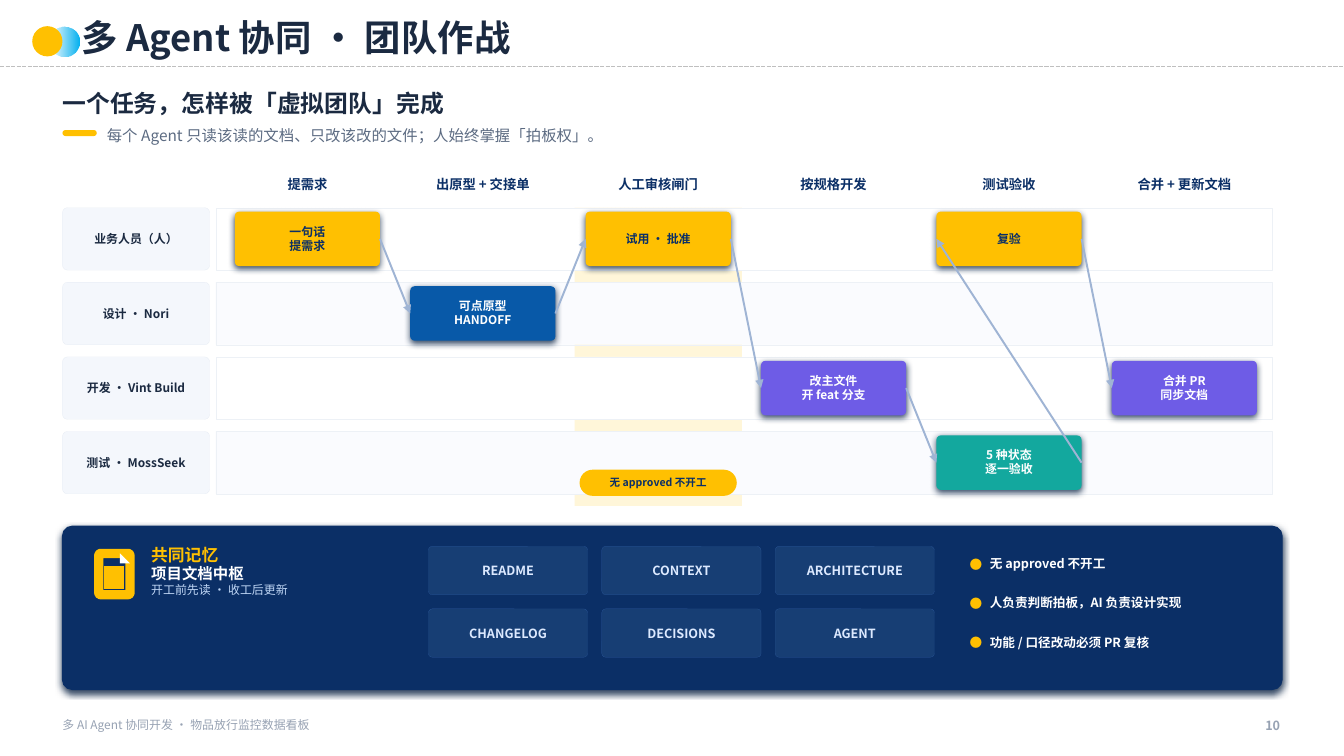
"""Build the slide on multi-agent teamwork: swimlanes, hand-offs and the shared memory panel."""
from lxml.etree import SubElement
from pptx import Presentation
from pptx.dml.color import RGBColor
from pptx.enum.dml import MSO_LINE
from pptx.enum.shapes import MSO_CONNECTOR, MSO_SHAPE
from pptx.enum.text import MSO_ANCHOR, PP_ALIGN
from pptx.oxml.ns import qn
from pptx.util import Pt

FONT = "Noto Sans CJK SC"
COLOURS = {
    "white": "FFFFFF", "ink": "1B2A41", "navy": "0B2F66", "amber": "FFC001",
    "sky": "01B0F0", "blue": "0859A8", "violet": "6E5CE6", "teal": "13A89E",
    "slate": "5C6B82", "grey": "97A2B3", "rule": "BFBFBF", "arrow": "9FB4D4",
    "gate": "FFF6D9", "label": "F4F7FC", "label_edge": "E2E8F2", "lane_edge": "EDF1F6",
    "lane_tint": "FAFBFE", "file": "173E74", "file_edge": "2E5A9E", "file_text": "DCE9FF",
    "pale_blue": "BFD6F5", "shadow": "0F2747",
}
STYLES = {
    "title": {"size": Pt(26), "bold": True},
    "heading": {"size": Pt(17), "bold": True},
    "hub_title": {"size": Pt(12), "bold": True},
    "hub_name": {"size": Pt(11), "bold": True},
    "intro": {"size": Pt(11), "bold": False},
    "stage": {"size": Pt(9.5), "bold": True},
    "strong": {"size": Pt(9), "bold": True},
    "card": {"size": Pt(8.5), "bold": True},
    "note": {"size": Pt(8.5), "bold": False},
    "badge": {"size": Pt(7.5), "bold": True},
}
STAGES = ["提需求", "出原型 + 交接单", "人工审核闸门", "按规格开发", "测试验收", "合并 + 更新文档"]
ROLES = ["业务人员（人）", "设计 · Nori", "开发 · Vint Build", "测试 · MossSeek"]
STEPS = [
    (0, 0, "amber", "一句话\n提需求"),
    (1, 1, "blue", "可点原型\nHANDOFF"),
    (2, 0, "amber", "试用 · 批准"),
    (3, 2, "violet", "改主文件\n开 feat 分支"),
    (4, 3, "teal", "5 种状态\n逐一验收"),
    (4, 0, "amber", "复验"),
    (5, 2, "violet", "合并 PR\n同步文档"),
]
FILES = ["README", "CONTEXT", "ARCHITECTURE", "CHANGELOG", "DECISIONS", "AGENT"]
RULES = ["无 approved 不开工", "人负责判断拍板，AI 负责设计实现", "功能 / 口径改动必须 PR 复核"]
STAGE_LEFT, STAGE_PITCH = 156.96, 125.28
LANE_TOP, LANE_PITCH, LANE_HEIGHT = 148.32, 53.28, 44.64


def rgb(colour):
    return RGBColor.from_string(COLOURS[colour])


def put_text(shape, paragraphs, align=PP_ALIGN.LEFT, anchor=MSO_ANCHOR.MIDDLE, spacing=None, gap=0):
    """Fill a shape with (text, style, colour) paragraphs."""
    frame = shape.text_frame
    layout = {"word_wrap": True, "vertical_anchor": anchor, "margin_left": 0,
              "margin_right": 0, "margin_top": 0, "margin_bottom": 0}
    for name, value in layout.items():
        setattr(frame, name, value)
    for index, (text, style, colour) in enumerate(paragraphs):
        paragraph = frame.add_paragraph() if index else frame.paragraphs[0]
        paragraph.alignment = align
        paragraph.space_before = Pt(gap if index else 0)
        paragraph.line_spacing = spacing
        run = paragraph.add_run()
        run.text = text
        for name, value in {**STYLES[style], "name": FONT}.items():
            setattr(run.font, name, value)
        run.font.color.rgb = rgb(colour)
        SubElement(run._r.get_or_add_rPr(), qn("a:ea"), typeface=FONT)


def place(shape, box):
    for name, value in zip(("left", "top", "width", "height"), box):
        setattr(shape, name, Pt(value))


def add_label(slide, box, text, style, colour, **layout):
    label = slide.shapes.add_textbox(*map(Pt, box))
    put_text(label, [(text, style, colour)], **layout)


def paint(shape, fill=None, edge=None, width=0.75):
    shape.shadow.inherit = False
    if fill:
        shape.fill.solid()
        shape.fill.fore_color.rgb = rgb(fill)
    else:
        shape.fill.background()
    if edge:
        shape.line.color.rgb = rgb(edge)
        shape.line.width = Pt(width)
    else:
        shape.line.fill.background()


def add_block(slide, kind, box, fill=None, edge=None, width=0.75, corner=None):
    block = slide.shapes.add_shape(kind, *map(Pt, box))
    if corner is not None:
        block.adjustments[0] = corner
    paint(block, fill, edge, width)
    return block


def add_rounded(slide, box, fill=None, edge=None, width=0.12, corner=0.08):
    return add_block(slide, MSO_SHAPE.ROUNDED_RECTANGLE, box, fill, edge, width, corner)


def cast_shadow(shape):
    effects = shape._element.spPr.find(qn("a:effectLst"))
    shadow = SubElement(effects, qn("a:outerShdw"), blurRad=str(Pt(5)), dist=str(Pt(1.8)),
                        dir="5400000", algn="ctr", rotWithShape="0")
    tint = SubElement(shadow, qn("a:srgbClr"), val=COLOURS["shadow"])
    SubElement(tint, qn("a:alpha"), val="84000")


def add_line(slide, start, end, colour, width, arrow=False):
    line = slide.shapes.add_connector(MSO_CONNECTOR.STRAIGHT, *map(Pt, start + end))
    line.line.color.rgb = rgb(colour)
    line.line.width = Pt(width)
    if arrow:
        SubElement(line.line._get_or_add_ln(), qn("a:tailEnd"), type="triangle")
    SubElement(line._element.spPr, qn("a:effectLst"))
    return line


def add_triangle(slide, corners, fill):
    start, *others = [tuple(map(Pt, corner)) for corner in corners]
    outline = slide.shapes.build_freeform(*start)
    outline.add_line_segments(others, close=True)
    paint(outline.convert_to_shape(), fill)


def add_header(slide):
    rule = add_line(slide, (0, 47.52), (960, 47.52), "rule", 1)
    rule.line.dash_style = MSO_LINE.SQUARE_DOT
    glow = add_block(slide, MSO_SHAPE.OVAL, (35.28, 18.72, 21.6, 21.6))
    glow.fill.gradient()
    glow.fill.gradient_angle = 0
    for stop in glow.fill.gradient_stops:
        stop.color.rgb = rgb("sky")
    SubElement(glow._element.spPr.find(".//" + qn("a:srgbClr")), qn("a:alpha"), val="0")
    add_block(slide, MSO_SHAPE.OVAL, (23.04, 18.72, 21.6, 21.6), "amber")
    place(slide.shapes.title, (58.32, 8.64, 576, 36))
    put_text(slide.shapes.title, [("多 Agent 协同 · 团队作战", "title", "ink")])
    add_label(slide, (44.64, 59.04, 871.2, 28.8), "一个任务，怎样被「虚拟团队」完成", "heading", "ink")
    add_rounded(slide, (44.64, 92.88, 24.48, 4.32), "amber", corner=0.5)
    add_label(slide, (76.32, 86.4, 835.2, 20.16),
              "每个 Agent 只读该读的文档、只改该改的文件；人始终掌握「拍板权」。", "intro", "slate")


def add_lanes(slide):
    for column, stage in enumerate(STAGES):
        add_label(slide, (STAGE_LEFT + column * STAGE_PITCH, 113.76, STAGE_PITCH, 36),
                  stage, "stage", "navy", align=PP_ALIGN.CENTER)
    add_block(slide, MSO_SHAPE.RECTANGLE, (410.4, LANE_TOP, 119.52, 213.12), "gate")
    for row, role in enumerate(ROLES):
        top = LANE_TOP + row * LANE_PITCH
        role_label = add_rounded(slide, (44.64, top, 105.12, LANE_HEIGHT), "label", "label_edge")
        put_text(role_label, [(role, "card", "ink")], PP_ALIGN.CENTER)
        add_block(slide, MSO_SHAPE.RECTANGLE, (154.08, top, 754.56, LANE_HEIGHT),
                  "lane_tint" if row % 2 else "white", "lane_edge", 0.03)
    badge = add_rounded(slide, (414, 335.52, 112.32, 18.72), "amber", corner=0.5)
    put_text(badge, [(RULES[0], "badge", "navy")], PP_ALIGN.CENTER)


def add_steps(slide):
    cards = []
    for column, row, fill, text in STEPS:
        box = (STAGE_LEFT + column * STAGE_PITCH + 10.8, LANE_TOP + row * LANE_PITCH + 2.88, 103.68, 38.88)
        card = add_rounded(slide, box, fill)
        cast_shadow(card)
        ink = "navy" if fill == "amber" else "white"
        put_text(card, [(line, "card", ink) for line in text.split("\n")], PP_ALIGN.CENTER, spacing=0.98)
        cards.append(card)
    for giver, taker in zip(cards, cards[1:]):
        handoff = add_line(slide, (0, 0), (0, 0), "arrow", 1.4, arrow=True)
        handoff.begin_connect(giver, 3)
        handoff.end_connect(taker, 1)


def add_document_icon(slide):
    add_rounded(slide, (70.56, 395.28, 22.32, 29.52), None, "amber", 6.6, 0.06)
    left, right, top, bottom = 85.68, 92.88, 395.28, 402.48
    add_triangle(slide, [(left, top), (right, top), (right, bottom)], "amber")
    add_triangle(slide, [(left, top), (right, bottom), (left, bottom)], "white")
    for row in range(3):
        height = 407.52 + row * 5.04
        add_line(slide, (74.16, height), (88.56, height), "amber", 6.05)


def add_memory(slide):
    panel = add_rounded(slide, (44.64, 375.84, 871.2, 116.64), "navy", "navy", 0.75, 0.06)
    cast_shadow(panel)
    add_document_icon(slide)
    hub = slide.shapes.add_textbox(Pt(108), Pt(388.8), Pt(183.6), Pt(93.6))
    put_text(hub, [("共同记忆", "hub_title", "amber"), ("项目文档中枢", "hub_name", "white"),
                   ("开工前先读 · 收工后更新", "note", "pale_blue")], anchor=MSO_ANCHOR.TOP)
    for index, name in enumerate(FILES):
        row, column = divmod(index, 3)
        box = (306 + column * 123.84, 390.24 + row * 44.64, 113.76, 34.56)
        put_text(add_rounded(slide, box, "file", "file_edge"),
                 [(name, "strong", "file_text")], PP_ALIGN.CENTER)


def add_rules(slide):
    rules = slide.placeholders[1]
    slide.shapes._spTree.append(rules._element)
    place(rules, (692.64, 388.8, 216, 83.52))
    put_text(rules, [(rule, "strong", "white") for rule in RULES], spacing=1.0, gap=17.2)
    for paragraph in rules.text_frame.paragraphs:
        bullet = paragraph._p.get_or_add_pPr()
        bullet.set("marL", str(Pt(14.4)))
        bullet.set("indent", str(-Pt(14.4)))
        SubElement(SubElement(bullet, qn("a:buClr")), qn("a:srgbClr"), val=COLOURS["amber"])
        SubElement(bullet, qn("a:buFont"), typeface=FONT)
        SubElement(bullet, qn("a:buChar"), char="●")


def main():
    deck = Presentation()
    deck.slide_width, deck.slide_height = Pt(960), Pt(540)
    slide = deck.slides.add_slide(deck.slide_layouts[1])
    for add_part in (add_header, add_lanes, add_steps, add_memory, add_rules):
        add_part(slide)
    add_label(slide, (44.64, 512.64, 540, 20.16), "多 AI Agent 协同开发 · 物品放行监控数据看板",
              "note", "grey", anchor=MSO_ANCHOR.TOP)
    add_label(slide, (856.8, 512.64, 57.6, 20.16), "10", "strong", "grey",
              align=PP_ALIGN.RIGHT, anchor=MSO_ANCHOR.TOP)
    deck.save("out.pptx")


if __name__ == "__main__":
    main()
